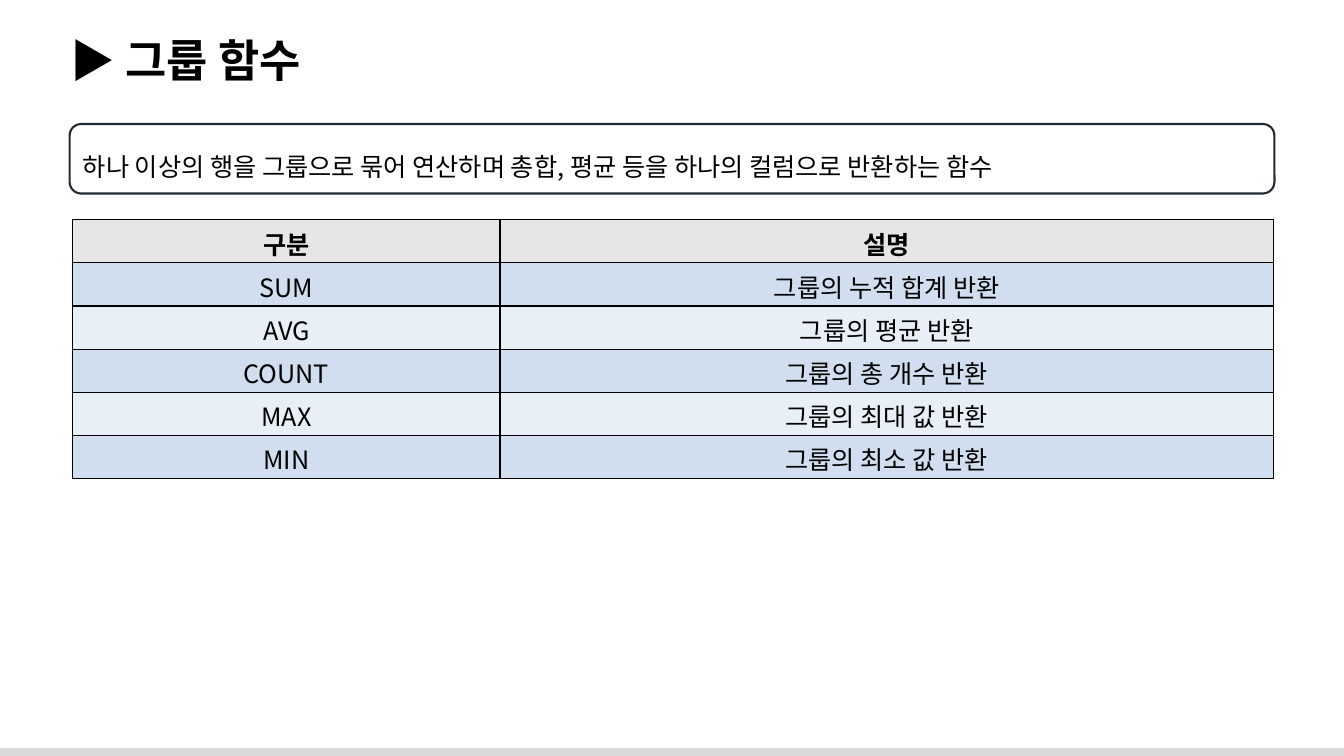
from collections import namedtuple
from dataclasses import dataclass

from lxml.etree import SubElement
from pptx import Presentation
from pptx.dml.color import RGBColor as Rgb
from pptx.enum.shapes import MSO_SHAPE as Shape
from pptx.enum.text import MSO_ANCHOR as Anchor, MSO_AUTO_SIZE as AutoSize, PP_ALIGN as Align
from pptx.oxml.ns import qn
from pptx.util import Inches, Pt

Box = namedtuple("Box", "left top width height")


@dataclass(frozen=True)
class Theme:
    """Hold the colours, font and sizes of the slide."""
    font: str = "Noto Sans CJK KR"
    title_size: int = 32
    body_size: int = 18
    ink: str = "000000"
    outline: str = "222A35"
    footer: str = "D9D9D9"
    header: str = "E7E6E6"
    bands: tuple = ("D0DEEF", "E9EFF7")
    outline_width: float = 1.5
    border_width: float = 1


THEME = Theme()
FUNCTIONS = [
    ("구분", "설명"),
    ("SUM", "그룹의 누적 합계 반환"),
    ("AVG", "그룹의 평균 반환"),
    ("COUNT", "그룹의 총 개수 반환"),
    ("MAX", "그룹의 최대 값 반환"),
    ("MIN", "그룹의 최소 값 반환"),
]


def apply(target, formats):
    """Set each format value on the target."""
    for name, value in formats.items():
        setattr(target, name, value)


def lengths(box):
    """Return the sides of a box as lengths."""
    return [Inches(side) for side in box]


def paint(fill, colour):
    """Give a fill one solid colour."""
    fill.solid()
    fill.fore_color.rgb = Rgb.from_string(colour)


def write(frame, text, size=THEME.body_size, bold=False, frame_formats=None, **paragraph_formats):
    """Write one line of text in the theme font."""
    apply(frame, {"word_wrap": True, **(frame_formats or {})})
    paragraph = frame.paragraphs[0]
    apply(paragraph, paragraph_formats)
    run = paragraph.add_run()
    run.text = text
    apply(run.font, {"size": Pt(size), "bold": bold, "name": THEME.font})
    run.font.color.rgb = Rgb.from_string(THEME.ink)
    SubElement(run.font._element, qn("a:ea"), typeface=THEME.font)


def add_footer(slide, box):
    """Draw the bar along the bottom edge."""
    footer = slide.shapes.add_shape(Shape.RECTANGLE, *lengths(box))
    footer.shadow.inherit = False
    paint(footer.fill, THEME.footer)
    footer.line.fill.background()


def add_title(slide, box):
    """Write the slide title."""
    title = slide.shapes.add_textbox(*lengths(box))
    write(title.text_frame, "▶ 그룹 함수", THEME.title_size, True,
          {"auto_size": AutoSize.SHAPE_TO_FIT_TEXT})


def add_definition(slide, box):
    """Draw the rounded box that defines group functions."""
    definition = slide.shapes.add_shape(Shape.ROUNDED_RECTANGLE, *lengths(box))
    definition.shadow.inherit = False
    definition.fill.background()
    definition.line.color.rgb = Rgb.from_string(THEME.outline)
    definition.line.width = Pt(THEME.outline_width)
    write(definition.text_frame,
          "하나 이상의 행을 그룹으로 묶어 연산하며 총합, 평균 등을 하나의 컬럼으로 반환하는 함수",
          frame_formats={"vertical_anchor": Anchor.MIDDLE},
          alignment=Align.LEFT, line_spacing=1.5)


def add_borders(cell):
    """Line all four sides of a table cell."""
    properties = cell._tc.get_or_add_tcPr()
    for side in ("lnL", "lnR", "lnT", "lnB"):
        border = SubElement(properties, qn(f"a:{side}"), w=str(Pt(THEME.border_width)))
        solid = SubElement(border, qn("a:solidFill"))
        SubElement(solid, qn("a:srgbClr"), val=THEME.ink)


def add_function_table(slide, box, name_width):
    """Build the table of group functions."""
    table = slide.shapes.add_table(len(FUNCTIONS), 2, *lengths(box)).table
    for column, width in zip(table.columns, (name_width, box.width - name_width)):
        column.width = Inches(width)
    for index, row in enumerate(FUNCTIONS):
        table.rows[index].height = Inches(box.height / len(FUNCTIONS))
        is_header = index == 0
        colour = THEME.header if is_header else THEME.bands[(index - 1) % 2]
        for cell, text in zip(table.rows[index].cells, row):
            add_borders(cell)
            paint(cell.fill, colour)
            cell.vertical_anchor = Anchor.MIDDLE
            write(cell.text_frame, text, bold=is_header, alignment=Align.CENTER)


def main():
    """Build and save the slide."""
    deck = Presentation()
    apply(deck, {"slide_width": Inches(13.33), "slide_height": Inches(7.5)})
    slide = deck.slides.add_slide(deck.slide_layouts[6])
    add_footer(slide, Box(-0.03, 7.42, 13.39, 0.11))
    add_title(slide, Box(0.6, 0.28, 12.6, 0.64))
    add_definition(slide, Box(0.69, 1.23, 11.95, 0.69))
    add_function_table(slide, Box(0.72, 2.18, 11.91, 2.57), 4.24)
    deck.save("out.pptx")


if __name__ == "__main__":
    main()
